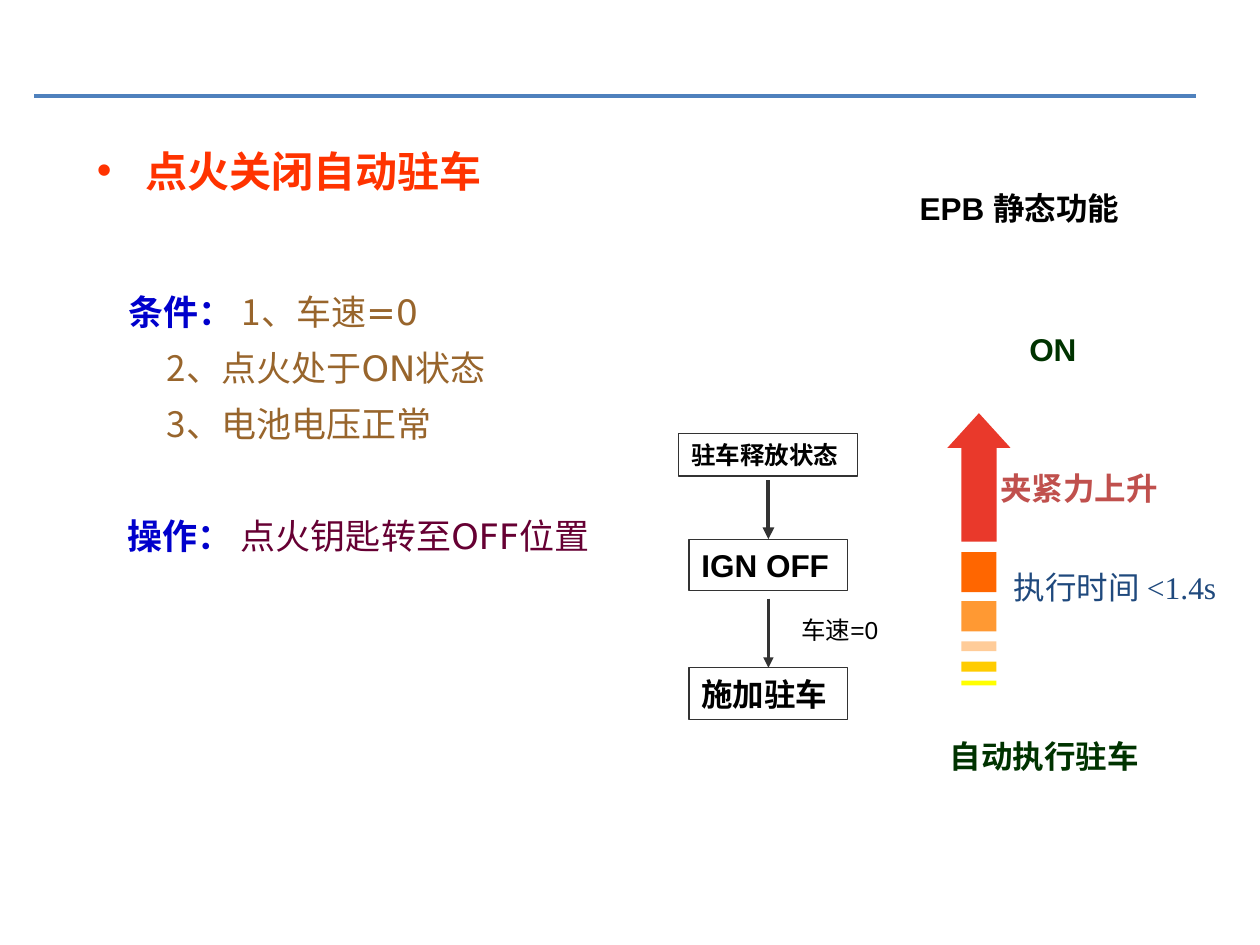
from lxml import etree
from pptx import Presentation
from pptx import util as u
from pptx.dml.color import RGBColor
from pptx.enum import shapes, text
from pptx.oxml.ns import qn

COLORS = {
    "rule": "4F81BD", "heading": "FF3300", "label": "0000CC",
    "condition": "98652C", "action": "660033", "ink": "000000",
    "state": "003300", "time": "1F497D", "force": "C0504D",
    "outline": "333333", "arrow": "E9392B",
    "orange": "FF6600", "amber": "FF9933", "peach": "FFCC99",
    "gold": "FFCC00", "yellow": "FFFF00",
}
CJK = "Noto Sans CJK SC"
LATIN = "DejaVu Sans"


class SlideStyle:
    def __init__(self, slide):
        self.slide = slide

    def color(self, name):
        return RGBColor.from_string(COLORS[name])

    def run(self, paragraph, words, size, color, bold=False, font="Arial"):
        run = paragraph.add_run()
        run.text = words
        run.font.size = u.Pt(size)
        run.font.bold = bold
        run.font.name = font
        run.font.color.rgb = self.color(color)
        east_asian = etree.SubElement(run._r.get_or_add_rPr(), qn("a:ea"))
        east_asian.set("typeface", CJK)

    def bullet(self, paragraph, margin, hanging=0, mark=None):
        """Set the indent in cm and the bullet mark, or no bullet."""
        props = paragraph._p.get_or_add_pPr()
        props.set("marL", str(u.Cm(margin)))
        props.set("indent", str(-u.Cm(hanging)))
        if mark:
            etree.SubElement(props, qn("a:buChar")).set("char", mark)
        else:
            etree.SubElement(props, qn("a:buNone"))

    def body(self, box, lines):
        """Fill the body placeholder; each line is (margin, hanging, mark, before, height, runs)."""
        holder = self.slide.placeholders[1]
        holder.left, holder.top, holder.width, holder.height = map(u.Cm, box)
        frame = holder.text_frame
        frame.auto_size = text.MSO_AUTO_SIZE.NONE
        for i, (margin, hanging, mark, before, height, runs) in enumerate(lines):
            paragraph = frame.paragraphs[0] if i == 0 else frame.add_paragraph()
            self.bullet(paragraph, margin, hanging, mark)
            paragraph.space_before = u.Pt(before)
            paragraph.space_after = u.Pt(0)
            paragraph.line_spacing = u.Pt(height)
            for run in runs:
                self.run(paragraph, *run)

    def fill_text(self, shape, runs):
        frame = shape.text_frame
        frame.word_wrap = True
        frame.margin_top = frame.margin_bottom = 0
        frame.vertical_anchor = text.MSO_ANCHOR.MIDDLE
        paragraph = frame.paragraphs[0]
        paragraph.alignment = text.PP_ALIGN.LEFT
        paragraph.line_spacing = u.Pt(runs[0][1] * 1.2)
        for run in runs:
            self.run(paragraph, *run)

    def label(self, box, *runs):
        self.fill_text(self.slide.shapes.add_textbox(*map(u.Cm, box)), runs)

    def block(self, box, fill, kind=shapes.MSO_SHAPE.RECTANGLE):
        shape = self.slide.shapes.add_shape(kind, *map(u.Cm, box))
        shape.shadow.inherit = False
        shape.fill.solid()
        shape.fill.fore_color.rgb = self.color(fill)
        shape.line.fill.background()
        return shape

    def step(self, box, words, size):
        """Draw an outlined flow chart box."""
        shape = self.block(box, "ink")
        shape.fill.background()
        shape.line.color.rgb = self.color("outline")
        shape.line.width = u.Pt(0.75)
        self.fill_text(shape, [(words, size, "ink", True)])

    def line(self, start, end, color, width, arrow=False):
        connector = self.slide.shapes.add_connector(
            shapes.MSO_CONNECTOR.STRAIGHT, *map(u.Cm, start + end))
        connector.line.color.rgb = self.color(color)
        connector.line.width = u.Pt(width)
        if arrow:
            tail = etree.SubElement(connector.line._get_or_add_ln(), qn("a:tailEnd"))
            tail.set("type", "triangle")
        etree.SubElement(connector._element.spPr, qn("a:effectLst"))


def main():
    deck = Presentation()
    deck.slide_width, deck.slide_height = u.Cm(25.4), u.Cm(19.05)
    slide = deck.slides.add_slide(deck.slide_layouts[1])
    title = slide.shapes.title._element
    title.getparent().remove(title)
    style = SlideStyle(slide)

    style.line((0.69, 1.93), (24.1, 1.93), "rule", 2.25)

    def condition(words, font=CJK):
        return words, 20, "condition", False, font

    def action(words, font=CJK):
        return words, 20, "action", False, font

    style.body((1.7, 2.72, 21.8, 15.2), [
        (0.97, 0.97, "•", 0, 31, [("点火关闭自动驻车", 24, "heading", True)]),
        (0.64, 0, None, 54, 24, [("条件： ", 20, "label", True),
                                 condition("1、车速"), condition("=0", LATIN)]),
        (1.41, 0, None, 8, 24, [condition("2、点火处于"), condition("ON", LATIN),
                                condition("状态")]),
        (1.41, 0, None, 8, 24, [condition("3、电池电压正常")]),
        (0.62, 0, None, 40, 24, [("操作： ", 20, "label", True), action("点火钥匙转至"),
                                 action("OFF", LATIN), action("位置")]),
    ])

    style.label((18.29, 3.3, 4.6, 1.8), ("EPB 静态功能", 18, "ink", True))
    style.label((20.5, 6.53, 2.01, 1.02), ("ON", 18, "state", True))

    bars = [(11.13, 0.81, "orange"), (12.12, 0.61, "amber"), (12.93, 0.2, "peach"),
            (13.34, 0.2, "gold"), (13.72, 0.1, "yellow")]
    for top, height, fill in bars:
        style.block((19.38, top, 0.71, height), fill)
    force = style.block((19.1, 8.33, 1.27, 2.59), "arrow", shapes.MSO_SHAPE.UP_ARROW)
    force.adjustments[0], force.adjustments[1] = 0.56, 0.55

    style.label((18.9, 14.73, 5, 1.02), ("自动执行驻车", 18, "state", True))
    style.label((20.19, 11.33, 5.21, 1.02), ("执行时间 ", 18, "time"),
                ("<1.4s", 18, "time", False, "Times New Roman"))
    style.label((19.91, 9.32, 3.99, 1.02),
                ("夹紧力上升", 18, "force", True, "Times New Roman"))

    axis = 15.49
    steps = [("驻车释放状态", 14, 8.74, 3.61, 0.86), ("IGN OFF", 18, 10.87, 3.2, 1.04),
             ("施加驻车", 18, 13.46, 3.2, 1.04)]
    for words, size, top, width, height in steps:
        style.step((axis - width / 2, top, width, height), words, size)
    style.line((axis, 9.68), (axis, 10.87), "outline", 2.25, arrow=True)
    style.line((axis, 12.07), (axis, 13.46), "outline", 1.5, arrow=True)
    style.label((15.9, 12.27, 2.59, 0.84), ("车速=0", 14, "ink"))

    deck.save("out.pptx")


if __name__ == "__main__":
    main()
